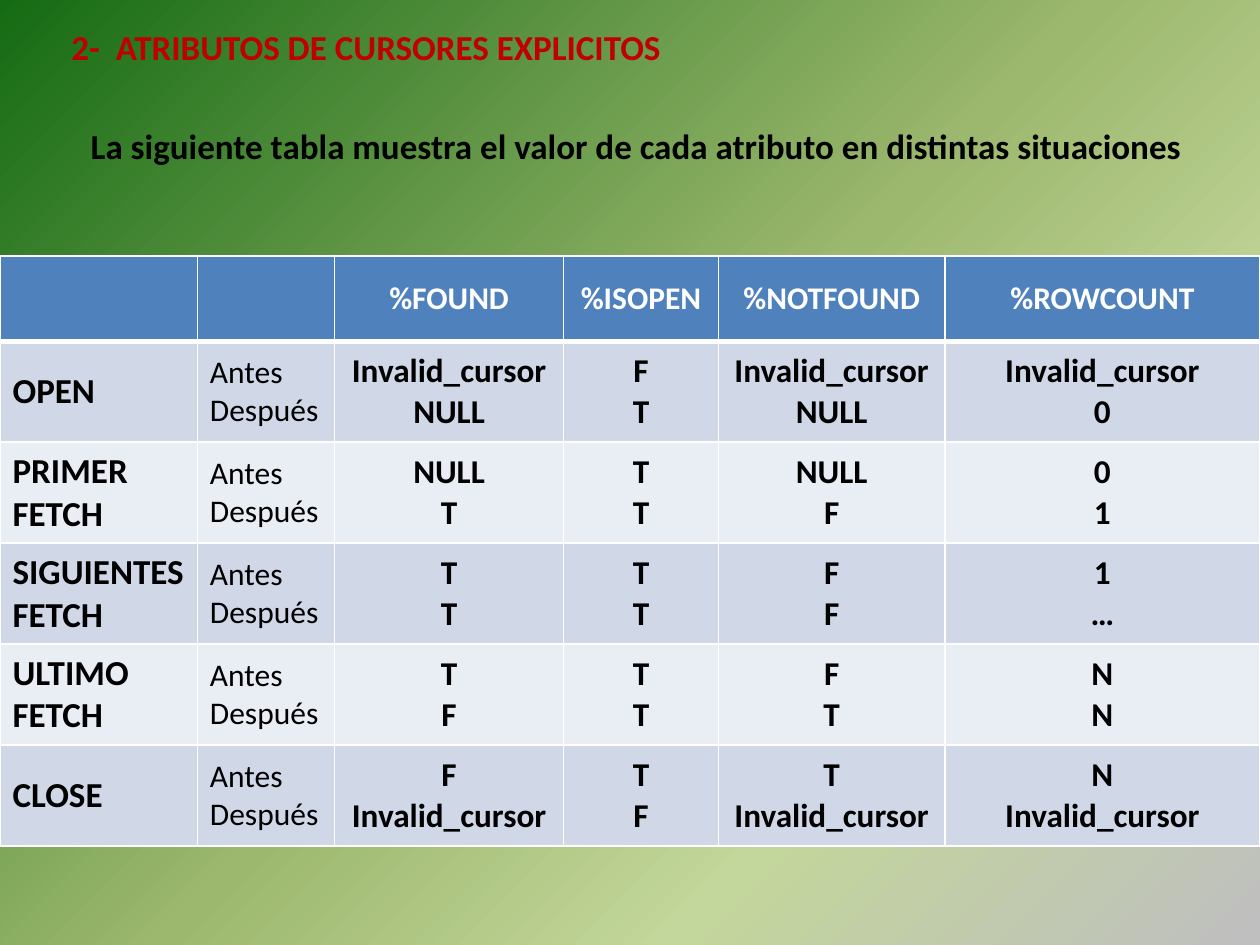
from dataclasses import dataclass

from pptx import Presentation
from pptx import oxml
from pptx.dml.color import RGBColor
from pptx.enum import text
from pptx.oxml import ns
from pptx.util import Pt


@dataclass(frozen=True)
class Theme:
    font: str = "Calibri"
    title: str = "C00000"
    ink: str = "000000"
    white: str = "FFFFFF"
    header: str = "4F81BD"
    bands: tuple = ("D0D8E8", "E9EDF4")
    # Stops: position, colour and opacity, in percent
    backdrop: tuple = ((0, "BFBFBF", 100), (27, "C3D69B", 74),
                       (50, "9CB86E", 62), (100, "156B13", 5))
    large: float = 20
    value: float = 19
    small: float = 18


@dataclass(frozen=True)
class TextStyle:
    size: float
    color: str
    bold: bool = True
    align: text.PP_ALIGN = text.PP_ALIGN.LEFT


@dataclass(frozen=True)
class Heading:
    words: str
    box: tuple
    style: TextStyle
    wrap: bool
    hanging: float = 0


@dataclass(frozen=True)
class Situation:
    """A cursor operation with (before, after) values for each attribute."""
    name: str
    found: tuple
    is_open: tuple
    not_found: tuple
    row_count: tuple


THEME = Theme()
CENTER = text.PP_ALIGN.CENTER
HEADER_STYLE = TextStyle(THEME.small, THEME.white, align=CENTER)
NAME_STYLE = TextStyle(THEME.large, THEME.ink)
MOMENT_STYLE = TextStyle(THEME.small, THEME.ink, bold=False)
VALUE_STYLE = TextStyle(THEME.value, THEME.ink, align=CENTER)

HEADINGS = (
    Heading("2-  ATRIBUTOS DE CURSORES EXPLICITOS", (33.8, 11.2, 354, 31.5),
            TextStyle(THEME.large, THEME.title), wrap=False),
    Heading("La siguiente tabla muestra el valor de cada atributo en distintas situaciones",
            (44.8, 67.7, 675.2, 31.5), NAME_STYLE, wrap=True, hanging=21.6),
)

INVALID = "Invalid_cursor"
MOMENTS = ("Antes", "Después")
ATTRIBUTES = ("", "", "%FOUND", "%ISOPEN", "%NOTFOUND", "%ROWCOUNT")
SITUATIONS = (
    Situation("OPEN", (INVALID, "NULL"), ("F", "T"), (INVALID, "NULL"), (INVALID, "0")),
    Situation("PRIMER FETCH", ("NULL", "T"), ("T", "T"), ("NULL", "F"), ("0", "1")),
    Situation("SIGUIENTES FETCH", ("T", "T"), ("T", "T"), ("F", "F"), ("1", "…")),
    Situation("ULTIMO FETCH", ("T", "F"), ("T", "T"), ("F", "T"), ("N", "N")),
    Situation("CLOSE", ("F", INVALID), ("T", "F"), ("T", INVALID), ("N", INVALID)),
)

TABLE_TOP = 146.2
COLUMN_WIDTHS = (112.8, 78.4, 130.9, 88.5, 129.4, 180)
HEADER_HEIGHT = 48.8
ROW_HEIGHT = 57.7


def paint_background(slide) -> None:
    """Run a gradient out of the bottom right corner."""
    stops = "".join(
        f'<a:gs pos="{position * 1000}"><a:srgbClr val="{color}">'
        f'<a:alpha val="{opacity * 1000}"/></a:srgbClr></a:gs>'
        for position, color, opacity in THEME.backdrop)
    gradient = oxml.parse_xml(
        f'<a:gradFill {ns.nsdecls("a")} rotWithShape="1"><a:gsLst>{stops}</a:gsLst>'
        '<a:path path="circle"><a:fillToRect l="100000" t="100000"/></a:path>'
        '<a:tileRect r="-100000" b="-100000"/></a:gradFill>')
    slide.background.fill.solid()
    properties = slide._element.cSld.bg.bgPr
    properties.replace(properties[0], gradient)


def write(frame, lines: tuple, style: TextStyle) -> None:
    for index, line in enumerate(lines):
        paragraph = frame.add_paragraph() if index else frame.paragraphs[0]
        paragraph.alignment = style.align
        run = paragraph.add_run()
        run.text = line
        settings = {"name": THEME.font, "size": Pt(style.size), "bold": style.bold}
        for attribute, setting in settings.items():
            setattr(run.font, attribute, setting)
        run.font.color.rgb = RGBColor.from_string(style.color)


def add_heading(slide, heading: Heading) -> None:
    frame = slide.shapes.add_textbox(*map(Pt, heading.box)).text_frame
    frame.word_wrap = heading.wrap
    frame.auto_size = text.MSO_AUTO_SIZE.SHAPE_TO_FIT_TEXT
    write(frame, (heading.words,), heading.style)
    if heading.hanging:
        properties = frame.paragraphs[0]._p.get_or_add_pPr()
        properties.set("marL", str(Pt(heading.hanging)))
        properties.set("indent", str(-Pt(heading.hanging)))


def format_cell(cell, fill: str, top: float = 1, bottom: float = 1) -> None:
    """Fill a cell and draw its borders, with widths in points."""
    properties = cell._tc.get_or_add_tcPr()
    for side, width in {"L": 1, "R": 1, "T": top, "B": bottom}.items():
        properties.append(oxml.parse_xml(
            f'<a:ln{side} {ns.nsdecls("a")} w="{Pt(width)}"><a:solidFill>'
            f'<a:srgbClr val="{THEME.white}"/></a:solidFill></a:ln{side}>'))
    cell.fill.solid()
    cell.fill.fore_color.rgb = RGBColor.from_string(fill)
    cell.vertical_anchor = text.MSO_ANCHOR.MIDDLE


def add_attribute_table(slide) -> None:
    heights = (HEADER_HEIGHT,) + (ROW_HEIGHT,) * len(SITUATIONS)
    table = slide.shapes.add_table(
        len(heights), len(COLUMN_WIDTHS), 0, Pt(TABLE_TOP),
        Pt(sum(COLUMN_WIDTHS)), Pt(sum(heights))).table
    for column, width in zip(table.columns, COLUMN_WIDTHS):
        column.width = Pt(width)
    for row, height in zip(table.rows, heights):
        row.height = Pt(height)

    for column, attribute in enumerate(ATTRIBUTES):
        cell = table.cell(0, column)
        format_cell(cell, THEME.header, bottom=3)
        if attribute:
            write(cell.text_frame, (attribute,), HEADER_STYLE)

    styles = (NAME_STYLE, MOMENT_STYLE) + (VALUE_STYLE,) * 4
    for row, situation in enumerate(SITUATIONS, start=1):
        contents = (tuple(situation.name.split()), MOMENTS, situation.found,
                    situation.is_open, situation.not_found, situation.row_count)
        for column, (lines, style) in enumerate(zip(contents, styles)):
            cell = table.cell(row, column)
            format_cell(cell, THEME.bands[(row - 1) % 2], top=3 if row == 1 else 1)
            write(cell.text_frame, lines, style)


def main() -> None:
    presentation = Presentation()
    presentation.slide_width, presentation.slide_height = Pt(720), Pt(540)
    slide = presentation.slides.add_slide(presentation.slide_layouts[6])
    paint_background(slide)
    for heading in HEADINGS:
        add_heading(slide, heading)
    add_attribute_table(slide)
    presentation.save("out.pptx")


if __name__ == "__main__":
    main()
